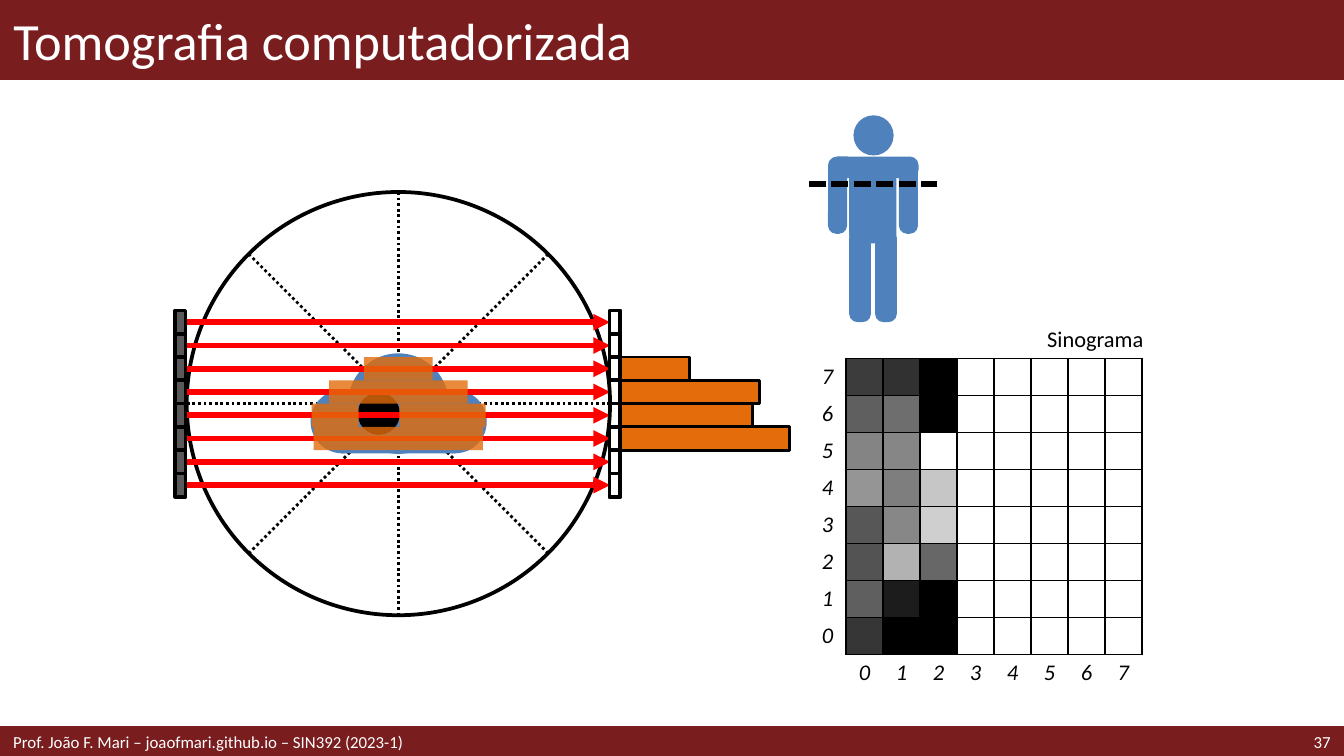
import math
from lxml import etree
from pptx import Presentation, util as u
from pptx.dml.color import RGBColor
from pptx.enum import dml, shapes, text
from pptx.oxml.ns import qn

rgb = RGBColor.from_string
Cm, Pt = u.Cm, u.Pt
MSO, AL = shapes.MSO_SHAPE, text.PP_ALIGN
BLACK, BLUE, ORANGE, MAROON = "000000", "4F81BD", "E46C0A", "791D1F"

prs = Presentation()
prs.slide_width, prs.slide_height = Cm(25.4), Cm(14.29)
s = prs.slides.add_slide(prs.slide_layouts[5])


def box(kind, x, y, w, h, fill=None, border=None, width=2, adj=None):
    sp = s.shapes.add_shape(kind, Cm(x), Cm(y), Cm(w), Cm(h))
    sp.shadow.inherit = False
    if fill:
        sp.fill.solid()
        sp.fill.fore_color.rgb = rgb(fill)
    else:
        sp.fill.background()
    if border:
        sp.line.color.rgb = rgb(border)
        sp.line.width = Pt(width)
    else:
        sp.line.fill.background()
    if adj:
        sp.adjustments[0] = adj
    return sp


def line(x1, y1, x2, y2, color, width, dash=None):
    ln = s.shapes.add_connector(shapes.MSO_CONNECTOR.STRAIGHT, Cm(x1), Cm(y1), Cm(x2), Cm(y2))
    ln.line.color.rgb = rgb(color)
    ln.line.width = Pt(width)
    if dash:
        ln.line.dash_style = dash
    etree.SubElement(ln.element.spPr, qn("a:effectLst"))
    return ln


box(MSO.RECTANGLE, 0, 0, 25.4, 1.5, MAROON, MAROON, 1)
box(MSO.RECTANGLE, 0, 13.76, 25.4, 0.53, MAROON, MAROON, 2)

title = s.shapes.title
title.element.getparent().append(title.element)
title.left, title.top, title.width, title.height = 0, 0, Cm(25.4), Cm(1.5)
number = s.shapes.add_textbox(Cm(22.5), Cm(13.75), Cm(2.9), Cm(0.53))
footer = s.shapes.add_textbox(0, Cm(13.76), Cm(17.5), Cm(0.53))
caption = s.shapes.add_textbox(Cm(16.41), Cm(6.15), Cm(5.2), Cm(0.53))
for sp, words, size, color, align in [
    (title, "Tomografia computadorizada", 28, "FFFFFF", AL.LEFT),
    (number, "37", 9, "FFFFFF", AL.RIGHT),
    (footer, "Prof. João F. Mari – joaofmari.github.io – SIN392 (2023-1)", 9, "FFFFFF", AL.LEFT),
    (caption, "Sinograma", 12, BLACK, AL.RIGHT),
]:
    tf = sp.text_frame
    tf.text = words
    tf.word_wrap = True
    tf.auto_size = text.MSO_AUTO_SIZE.NONE
    tf.vertical_anchor = text.MSO_ANCHOR.MIDDLE
    p = tf.paragraphs[0]
    p.alignment = align
    font = p.runs[0].font
    font.name, font.size, font.color.rgb = "Calibri", Pt(size), rgb(color)
tf = caption.text_frame
tf.vertical_anchor = text.MSO_ANCHOR.TOP
tf.margin_top = tf.margin_right = tf.margin_bottom = 0

cx, cy, radius = 7.53, 7.63, 4
box(MSO.OVAL, cx - radius, cy - radius, 2 * radius, 2 * radius, None, BLACK)
for i in range(4):
    dx, dy = radius * math.cos(i * math.pi / 4), radius * math.sin(i * math.pi / 4)
    line(cx - dx, cy - dy, cx + dx, cy + dy, BLACK, 1.5, dml.MSO_LINE.ROUND_DOT)

for kind, x, y, w, h, fill in [
    (MSO.OVAL, 6.58, 6.68, 1.9, 1.9, BLUE),
    (MSO.OVAL, 8, 7.37, 1.2, 1.2, BLUE),
    (MSO.RECTANGLE, 6.45, 7.37, 2.16, 1.2, BLUE),
    (MSO.OVAL, 5.87, 7.37, 1.2, 1.2, BLUE),
    (MSO.OVAL, 6.76, 7.42, 0.8, 0.8, BLACK),
]:
    box(kind, x, y, w, h, fill)

for x, y, w, h, adj in [
    (15.65, 2.97, 0.36, 1.45, 0.43),
    (15.66, 2.96, 1.7, 0.41, 0.39),
    (16.99, 2.97, 0.36, 1.45, 0.43),
    (16.05, 2.97, 0.89, 1.63, 0.17),
    (16.05, 4.34, 0.41, 1.75, 0.38),
    (16.54, 4.34, 0.41, 1.75, 0.38),
]:
    box(MSO.ROUNDED_RECTANGLE, x, y, w, h, BLUE, adj=adj)
box(MSO.OVAL, 16.13, 2.18, 0.76, 0.76, BLUE)
line(15.29, 3.48, 17.7, 3.48, BLACK, 3, dml.MSO_LINE.SQUARE_DOT)

top, pitch = 5.87, 0.44
for i in range(8):
    box(MSO.RECTANGLE, 3.31, top + i * pitch, 0.2, pitch, "595959", BLACK)
for i in range(8):
    y = top + (i + 0.5) * pitch
    ray = line(3.53, y, 11.53, y, "FF0000", 3)
    etree.SubElement(ray.line._get_or_add_ln(), qn("a:tailEnd"), type="triangle")
box(MSO.RECTANGLE, 11.52, top, 0.2, 8 * pitch, None, BLACK)
for i in range(8):
    box(MSO.RECTANGLE, 11.52, top + i * pitch, 0.2, pitch, None, BLACK)

for row, x, w in [(2, 6.88, 1.3), (3, 6.22, 2.62), (4, 5.89, 0.89), (4, 7.55, 1.63), (5, 5.93, 3.2)]:
    sp = box(MSO.RECTANGLE, x, top + row * pitch, w, pitch, ORANGE)
    clr = sp.element.spPr.find(".//" + qn("a:srgbClr"))
    etree.SubElement(clr, qn("a:alpha"), val="80000")
for row, w in [(4, 2.49), (2, 1.3), (3, 2.62), (5, 3.2)]:
    box(MSO.RECTANGLE, 11.73, top + row * pitch, w, pitch, ORANGE, BLACK, 1.5)

grays = ["3C 31 00", "5F 6E 00", "84 86 FF", "95 7E C6", "57 87 CF", "53 B2 67", "5F 1C 00", "36 00 00"]
n, side = 9, 0.7
tbl = s.shapes.add_table(n, n, Cm(15.29), Cm(6.78), Cm(n * side), Cm(n * side)).table
tbl.first_row = tbl.horz_banding = False
for i in range(n):
    tbl.columns[i].width = tbl.rows[i].height = Cm(side)
for r in range(n):
    for c in range(n):
        cell = tbl.cell(r, c)
        in_grid = r < 8 and c > 0
        cell.margin_left = cell.margin_right = cell.margin_top = cell.margin_bottom = 0
        cell.vertical_anchor = text.MSO_ANCHOR.MIDDLE
        if in_grid and c <= 3:
            cell.fill.solid()
            cell.fill.fore_color.rgb = rgb(grays[r].split()[c - 1] * 3)
        else:
            cell.fill.background()
        p = cell.text_frame.paragraphs[0]
        p.alignment = AL.CENTER
        if in_grid or (r == 8 and c == 0):
            etree.SubElement(p._p, qn("a:endParaRPr"), sz="1200")
        else:
            p.text = str(7 - r if c == 0 else c - 1)
            font = p.runs[0].font
            font.name, font.size, font.italic, font.color.rgb = "Calibri", Pt(12), True, rgb(BLACK)
        tcPr = cell._tc.get_or_add_tcPr()
        for i, edge in enumerate("LRTB"):
            ln = etree.Element(qn("a:ln" + edge), w="12700")
            if in_grid or (c == 0 and r < 8 and edge == "R") or (r == 8 and c > 0 and edge == "T"):
                etree.SubElement(etree.SubElement(ln, qn("a:solidFill")), qn("a:srgbClr"), val=BLACK)
            else:
                etree.SubElement(ln, qn("a:noFill"))
            tcPr.insert(i, ln)

prs.save("out.pptx")
